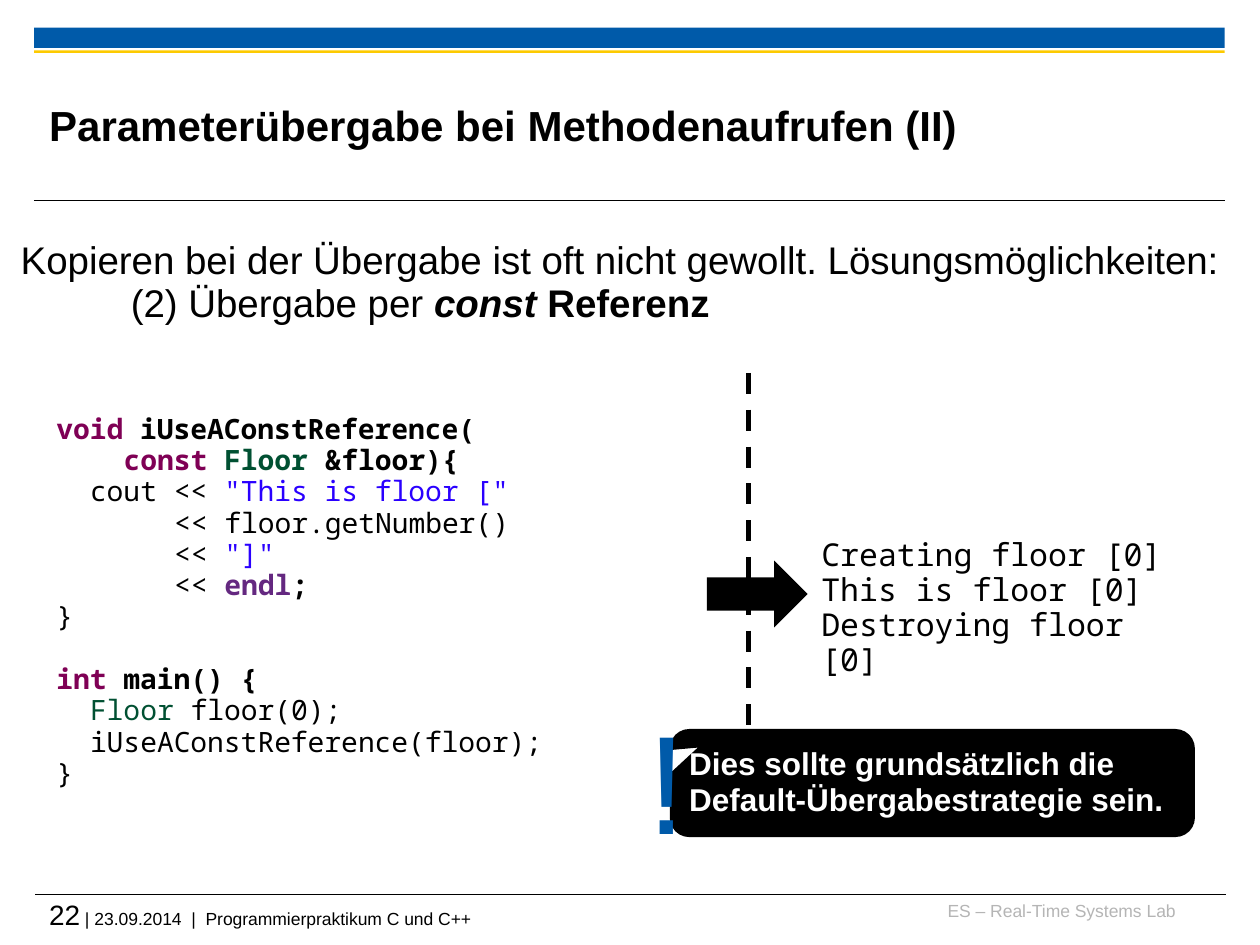
"""Build a lecture slide on passing C++ parameters by const reference."""
from lxml.etree import SubElement
from pptx import Presentation
from pptx.dml.color import RGBColor
from pptx.enum.dml import MSO_LINE
from pptx.enum.shapes import MSO_CONNECTOR, MSO_SHAPE
from pptx.enum.text import MSO_ANCHOR, MSO_AUTO_SIZE, PP_ALIGN
from pptx.oxml.ns import qn
from pptx.util import Inches, Pt

BLACK = RGBColor(0x00, 0x00, 0x00)
WHITE = RGBColor(0xFF, 0xFF, 0xFF)
BLUE = RGBColor(0x00, 0x5A, 0xA9)
YELLOW = RGBColor(0xFD, 0xCA, 0x00)
GRAY = RGBColor(0xB5, 0xB5, 0xB5)
KEYWORD = RGBColor(0x7F, 0x00, 0x55)
TYPE = RGBColor(0x00, 0x50, 0x32)
STRING = RGBColor(0x2A, 0x00, 0xFF)
SYMBOL = RGBColor(0x64, 0x28, 0x80)

SANS, MONO = "Arial", "Noto Sans Mono"
LINE_SPACING = 0.93
CODE_SIZE = 16
CODE_CHAR = 0.6 * CODE_SIZE / 72

PLAIN = {}
BOLD = {"bold": True}
BOLD_ITALIC = {"bold": True, "italic": True}
BOLD_KEYWORD = {"bold": True, "color": KEYWORD}
BOLD_TYPE = {"bold": True, "color": TYPE}
BOLD_SYMBOL = {"bold": True, "color": SYMBOL}

TITLE = "Parameterübergabe bei Methodenaufrufen (II)"
INTRO = [
    ("Kopieren bei der Übergabe ist oft nicht gewollt. Lösungsmöglichkeiten:", PLAIN),
]
SOLUTION = [("(2) Übergabe per ", PLAIN), ("const", BOLD_ITALIC), (" Referenz", BOLD)]
FUNCTIONS = [
    [
        (0, [("void ", BOLD_KEYWORD), ("iUseAConstReference(", BOLD)]),
        (4, [("const ", BOLD_KEYWORD), ("Floor ", BOLD_TYPE), ("&floor){", BOLD)]),
        (2, [("cout << ", PLAIN), ('"This is floor ["', {"color": STRING})]),
        (7, [("<< floor.getNumber()", PLAIN)]),
        (7, [("<< ", PLAIN), ('"]"', {"color": STRING})]),
        (7, [("<< ", PLAIN), ("endl", BOLD_SYMBOL), (";", BOLD)]),
        (0, [("}", PLAIN)]),
    ],
    [
        (0, [("int ", BOLD_KEYWORD), ("main() {", BOLD)]),
        (2, [("Floor ", {"color": TYPE}), ("floor(0);", PLAIN)]),
        (2, [("iUseAConstReference(floor);", PLAIN)]),
        (0, [("}", PLAIN)]),
    ],
]
OUTPUT = ["Creating floor [0]", "This is floor [0]", "Destroying floor [0]"]
ADVICE = "Dies sollte grundsätzlich die Default-Übergabestrategie sein."
LAB = "ES – Real-Time Systems Lab"
FOOTER = [
    ("22", {"size": Pt(16)}),
    (" | 23.09.2014  |  Programmierpraktikum C und C++", PLAIN),
]

BARS = [((0.27, 0.22, 9.45, 0.16), BLUE), ((0.27, 0.4, 9.45, 0.02), YELLOW)]
RULES = [(0.28, 7.1, 9.73, 7.1), (0.27, 1.59, 9.72, 1.59)]


def place(shape, box):
    for name, value in zip(("left", "top", "width", "height"), box):
        setattr(shape, name, Inches(value))


def remove_insets(frame):
    for side in ("left", "top", "right", "bottom"):
        setattr(frame, f"margin_{side}", 0)


def add_paragraph(frame, runs, size, font=SANS, color=BLACK, align=PP_ALIGN.LEFT,
                  indent=0, before=0, spacing=LINE_SPACING):
    first = frame.paragraphs[0]
    paragraph = frame.add_paragraph() if first.runs else first
    layout = {"alignment": align, "line_spacing": spacing, "space_before": Pt(before)}
    for name, value in layout.items():
        setattr(paragraph, name, value)
    if indent:
        properties = paragraph._p.get_or_add_pPr()
        properties.set("marL", str(Inches(indent)))
        properties.set("indent", "0")
    for text, changes in runs:
        run = paragraph.add_run()
        run.text = text
        style = {"name": font, "size": Pt(size), "bold": False, "color": color, **changes}
        run.font.color.rgb = style.pop("color")
        for name, value in style.items():
            setattr(run.font, name, value)


def add_text_frame(slide, box, insets=True):
    shape = slide.shapes.add_textbox(*map(Inches, box))
    frame = shape.text_frame
    frame.word_wrap = True
    if insets:
        frame.auto_size = MSO_AUTO_SIZE.SHAPE_TO_FIT_TEXT
    else:
        remove_insets(frame)
    return frame


def add_filled(slide, kind, box, color):
    shape = slide.shapes.add_shape(kind, *map(Inches, box))
    shape.shadow.inherit = False
    shape.fill.solid()
    shape.fill.fore_color.rgb = color
    shape.line.fill.background()
    return shape


def add_rule(slide, ends, width, dash=None):
    rule = slide.shapes.add_connector(MSO_CONNECTOR.STRAIGHT, *map(Inches, ends))
    rule.line.color.rgb = BLACK
    rule.line.width = Pt(width)
    if dash:
        rule.line.dash_style = dash
    SubElement(rule._element.spPr, qn("a:effectLst"))


def add_frame_parts(slide):
    for box, color in BARS:
        add_filled(slide, MSO_SHAPE.RECTANGLE, box, color)
    for ends in RULES:
        add_rule(slide, ends, 0.6)
    lab = add_text_frame(slide, (7.36, 7.14, 1.97, 0.25), insets=False)
    add_paragraph(lab, [(LAB, PLAIN)], 10, color=GRAY, align=PP_ALIGN.RIGHT, spacing=1.0)
    footer = add_text_frame(slide, (0.39, 7.12, 9.33, 0.33), insets=False)
    add_paragraph(footer, FOOTER, 10, spacing=1.0)


def add_title(slide):
    title = slide.shapes.title
    place(title, (0.39, 0.53, 7.52, 0.92))
    frame = title.text_frame
    remove_insets(frame)
    frame.vertical_anchor = MSO_ANCHOR.MIDDLE
    add_paragraph(frame, [(TITLE, BOLD)], 24, spacing=1.0)


def add_code(slide):
    frame = add_text_frame(slide, (0.35, 3.24, 5.67, 3.11))
    for number, function in enumerate(FUNCTIONS):
        for row, (columns, runs) in enumerate(function):
            gap = 18 if number and row == 0 else 0
            add_paragraph(frame, runs, CODE_SIZE, MONO,
                          indent=columns * CODE_CHAR, before=gap)


def add_advice(slide):
    callout = add_filled(slide, MSO_SHAPE.ROUNDED_RECTANGULAR_CALLOUT,
                         (5.33, 5.8, 4.14, 0.83), BLACK)
    for index, value in enumerate((-0.44, -0.36, 0.17)):
        callout.adjustments[index] = value
    callout.line.color.rgb = BLACK
    callout.line.width = Pt(2)
    frame = callout.text_frame
    frame.word_wrap = True
    frame.vertical_anchor = MSO_ANCHOR.MIDDLE
    add_paragraph(frame, [(ADVICE, BOLD)], 18, color=WHITE)
    mark = add_text_frame(slide, (5.08, 5.58, 0.16, 1.35))
    add_paragraph(mark, [("!", PLAIN)], 80, color=BLUE, align=PP_ALIGN.CENTER)


def main():
    presentation = Presentation()
    presentation.slide_width, presentation.slide_height = Inches(10), Inches(7.5)
    slide = presentation.slides.add_slide(presentation.slide_layouts[5])
    add_frame_parts(slide)
    add_code(slide)
    add_title(slide)
    intro = add_text_frame(slide, (-0.04, 1.86, 9.92, 0.79))
    add_paragraph(intro, INTRO, 22, align=PP_ALIGN.CENTER)
    add_paragraph(intro, SOLUTION, 22, indent=0.98)
    add_rule(slide, (5.94, 2.96, 5.94, 6.66), 3, MSO_LINE.DASH)
    add_filled(slide, MSO_SHAPE.RIGHT_ARROW, (5.61, 4.45, 0.8, 0.53), BLACK)
    output = add_text_frame(slide, (6.42, 4.22, 3.05, 0.95))
    for line in OUTPUT:
        add_paragraph(output, [(line, PLAIN)], 18, MONO)
    add_advice(slide)
    presentation.save("out.pptx")


if __name__ == "__main__":
    main()
